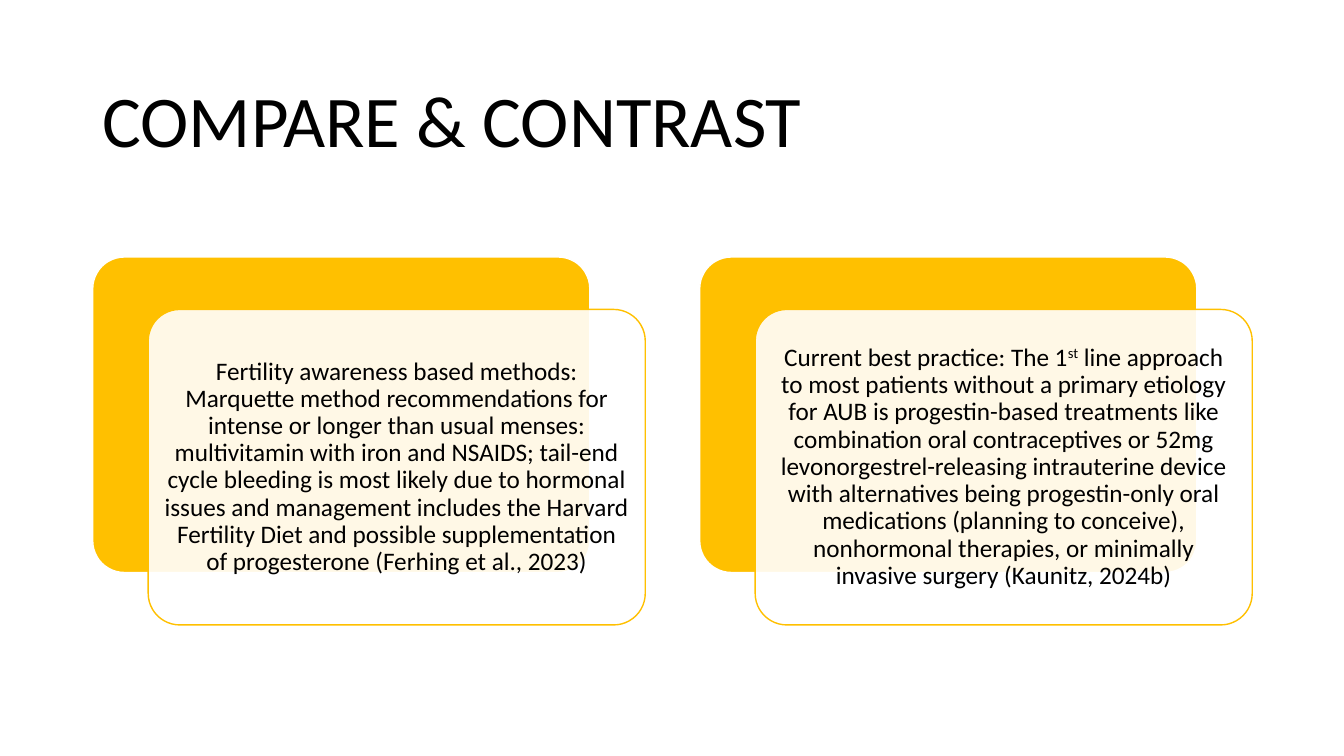
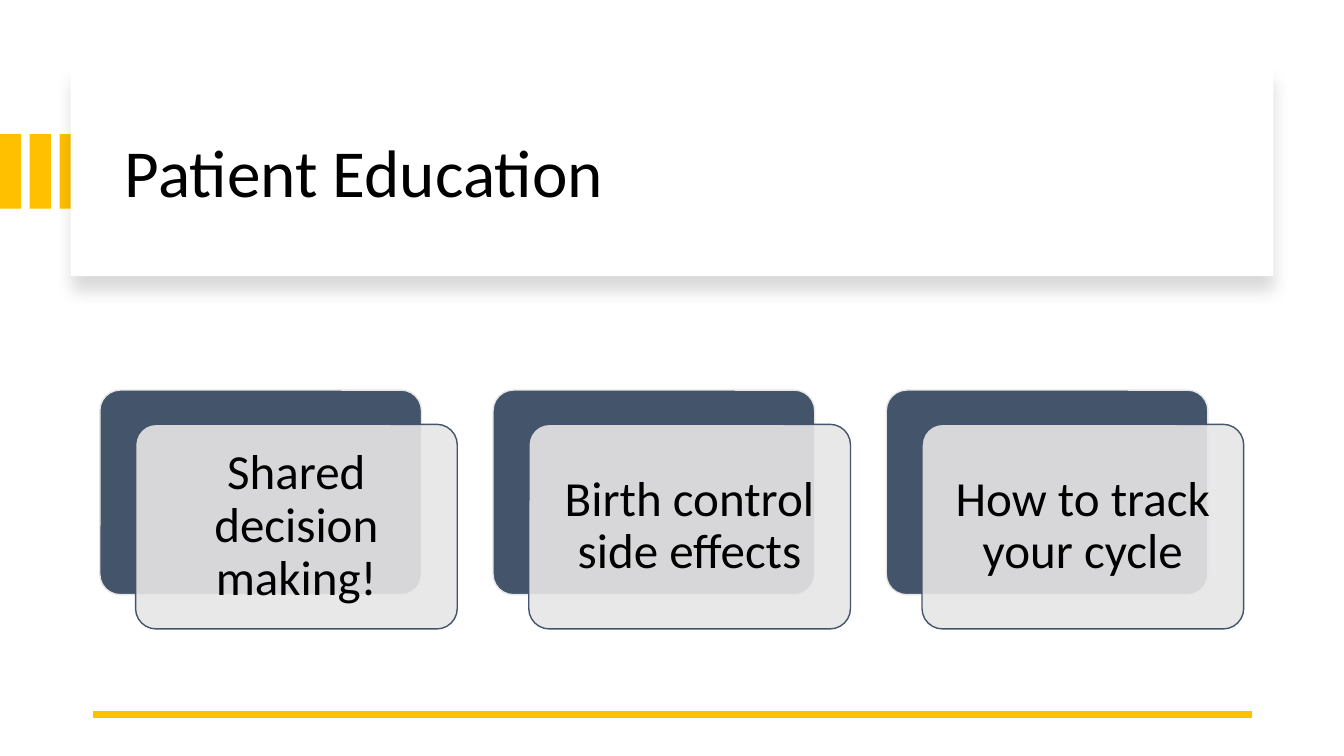
import pptx
import pptx.dml.color
import pptx.enum.shapes
import pptx.enum.text
import pptx.oxml
import pptx.oxml.ns
import pptx.util
from lxml import etree

COLORS = {"gold": "FFC000", "slate": "44546A", "mist": "E7E6E6", "white": "FFFFFF", "black": "000000"}
FONT = "Calibri"
LINE_SPACING = 0.9
SHAPE = pptx.enum.shapes.MSO_SHAPE
ALIGN = pptx.enum.text.PP_ALIGN
SUPERSCRIPT_MARK = "^"

COMPARISON = {
    "title": "COMPARE & CONTRAST",
    "title_box": (0.92, 0.61, 11.5, 1.24),
    "title_size": 52,
    "cards": [
        "Fertility awareness based methods: Marquette method recommendations for intense or longer than "
        "usual menses: multivitamin with iron and NSAIDS; tail-end cycle bleeding is most likely due to "
        "hormonal issues and management includes the Harvard Fertility Diet and possible supplementation "
        "of progesterone (Ferhing et al., 2023)",
        "Current best practice: The 1^st^ line approach to most patients without a primary etiology for "
        "AUB is progestin-based treatments like combination oral contraceptives or 52mg "
        "levonorgestrel-releasing intrauterine device with alternatives being progestin-only oral "
        "medications (planning to conceive), nonhormonal therapies, or minimally invasive surgery "
        "(Kaunitz, 2024b)",
    ],
    "grid": {"left": 0.92, "top": 2.55, "pitch": 6.02, "size": (4.93, 3.13), "shift": (0.55, 0.52)},
    "back": "gold",
    "front": "white",
    "text_size": 18,
    "inset": 0.07,
}
EDUCATION = {
    "title": "Patient Education",
    "title_box": (1.14, 0.89, 11.13, 1.7),
    "title_size": 48,
    "cards": ["Shared decision making!", "Birth control side effects", "How to track your cycle"],
    "grid": {"left": 0.99, "top": 3.87, "pitch": 3.9, "size": (3.19, 2.03), "shift": (0.355, 0.34)},
    "back": "slate",
    "front": "mist",
    "text_size": 35,
    "inset": 0.15,
}
BARS = {"count": 3, "pitch": 0.295, "top": 1.33, "size": (0.21, 0.74)}
BANNER = (0.7, 0.67, 11.93, 2.07)
RULE = {"left": 0.92, "right": 12.42, "y": 7.09, "weight": 4.5}


def inches(lengths):
    return [pptx.util.Inches(length) for length in lengths]


def rgb(name):
    return pptx.dml.color.RGBColor.from_string(COLORS[name])


def add_panel(slide, kind, box, fill, outline=None):
    panel = slide.shapes.add_shape(kind, *inches(box))
    panel.shadow.inherit = False
    panel.fill.solid()
    panel.fill.fore_color.rgb = rgb(fill)
    if outline:
        panel.line.color.rgb = rgb(outline)
        panel.line.width = pptx.util.Pt(1)
    else:
        panel.line.fill.background()
    return panel


def write(shape, words, size, align, inset=(0.1, 0.05)):
    frame = shape.text_frame
    frame.word_wrap = True
    frame.vertical_anchor = pptx.enum.text.MSO_ANCHOR.MIDDLE
    frame.margin_left = frame.margin_right = pptx.util.Inches(inset[0])
    frame.margin_top = frame.margin_bottom = pptx.util.Inches(inset[1])
    paragraph = frame.paragraphs[0]
    paragraph.alignment = align
    paragraph.line_spacing = LINE_SPACING
    paragraph.font.name = FONT
    paragraph.font.size = pptx.util.Pt(size)
    paragraph.font.color.rgb = rgb("black")
    for part in words.split(SUPERSCRIPT_MARK):
        paragraph.add_run().text = part
    runs = shape.element.findall(".//" + pptx.oxml.ns.qn("a:r"))
    for raised in runs[1::2]:
        raised.get_or_add_rPr().set("baseline", "30000")


def add_title(slide, content):
    title = slide.shapes.add_textbox(*inches(content["title_box"]))
    write(title, content["title"], content["title_size"], ALIGN.LEFT)


def add_cards(slide, content):
    grid = content["grid"]
    for column, words in enumerate(content["cards"]):
        left = grid["left"] + column * grid["pitch"]
        back_box = (left, grid["top"], *grid["size"])
        front_box = (left + grid["shift"][0], grid["top"] + grid["shift"][1], *grid["size"])
        back = add_panel(slide, SHAPE.ROUNDED_RECTANGLE, back_box, content["back"], content["front"])
        front = add_panel(slide, SHAPE.ROUNDED_RECTANGLE, front_box, content["front"], content["back"])
        back.adjustments[0] = front.adjustments[0] = 0.1
        tint = front.element.spPr.find(pptx.oxml.ns.qn("a:solidFill"))[0]
        etree.SubElement(tint, pptx.oxml.ns.qn("a:alpha"), val="90000")
        write(front, words, content["text_size"], ALIGN.CENTER, (content["inset"],) * 2)


def add_banner(slide):
    for bar in range(BARS["count"]):
        add_panel(slide, SHAPE.RECTANGLE, (bar * BARS["pitch"], BARS["top"], *BARS["size"]), "gold")
    banner = add_panel(slide, SHAPE.RECTANGLE, BANNER, "white")
    effects = banner.element.spPr.find(pptx.oxml.ns.qn("a:effectLst"))
    effects.append(pptx.oxml.parse_xml(
        f'<a:outerShdw {pptx.oxml.ns.nsdecls("a")} blurRad="{pptx.util.Pt(11)}" '
        f'dist="{pptx.util.Pt(10)}" dir="5400000" algn="t" rotWithShape="0">'
        f'<a:srgbClr val="{COLORS["black"]}"><a:alpha val="15000"/></a:srgbClr></a:outerShdw>'))


def add_rule(slide):
    ends = inches((RULE["right"], RULE["y"], RULE["left"], RULE["y"]))
    rule = slide.shapes.add_connector(pptx.enum.shapes.MSO_CONNECTOR.STRAIGHT, *ends)
    rule.line.color.rgb = rgb("gold")
    rule.line.width = pptx.util.Pt(RULE["weight"])
    etree.SubElement(rule.element.spPr, pptx.oxml.ns.qn("a:effectLst"))


def main():
    deck = pptx.Presentation()
    deck.slide_width, deck.slide_height = inches((13.33, 7.5))
    blank = deck.slide_layouts[6]

    comparison = deck.slides.add_slide(blank)
    add_title(comparison, COMPARISON)
    add_cards(comparison, COMPARISON)

    education = deck.slides.add_slide(blank)
    add_banner(education)
    add_title(education, EDUCATION)
    add_rule(education)
    add_cards(education, EDUCATION)

    deck.save("out.pptx")


if __name__ == "__main__":
    main()
